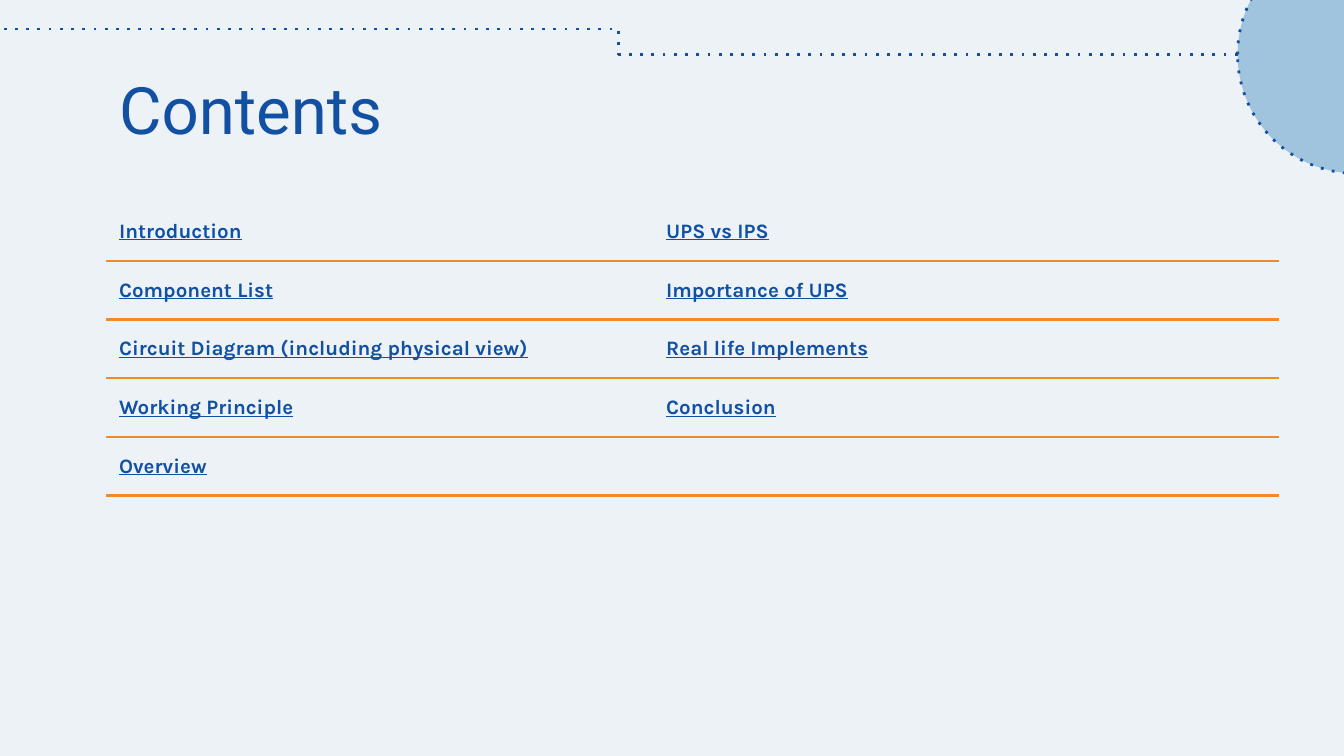
from lxml.etree import SubElement
from pptx import Presentation
from pptx.dml.color import RGBColor
from pptx.enum.shapes import MSO_CONNECTOR as Connector, MSO_SHAPE as Shape
from pptx.enum.text import MSO_ANCHOR as Anchor, PP_ALIGN as Align
from pptx.oxml.ns import qn
from pptx.util import Cm, Pt

TITLE = "Contents"
TOPICS = [
    ("Introduction", "UPS vs IPS"),
    ("Component List", "Importance of UPS"),
    ("Circuit Diagram (including physical view)", "Real life Implements"),
    ("Working Principle", "Conclusion"),
    ("Overview", ""),
    ("", ""),
]
COLUMN_WIDTHS = (10.34, 11.84)
ROW_HEIGHT = 1.11
PALE, SKY, BLUE, ORANGE = "EDF2F7", "A0C4DE", "1150A2", "F28A25"


def color(value):
    return RGBColor.from_string(value)


def write(frame, text, *, font, size, ink=BLUE, bold=False, underline=False):
    para = frame.paragraphs[0]
    para.alignment = Align.LEFT
    span = para.add_run()
    span.text = text
    span.font.name, span.font.size = font, Pt(size)
    span.font.bold, span.font.underline = bold, underline
    span.font.color.rgb = color(ink)


def dot_line(shape):
    """Give a shape or connector the dotted blue line."""
    shape.line.width = Pt(1.5)
    shape.line.color.rgb = color(BLUE)
    outline = shape._element.spPr.find(qn("a:ln"))
    SubElement(outline, qn("a:prstDash"), val="dot")


def set_borders(cell, ruled_sides):
    """Rule the given sides of a cell and clear the others."""
    properties = cell._tc.get_or_add_tcPr()
    for side in "LRTB":
        border = SubElement(properties, qn(f"a:ln{side}"), w=str(Pt(1.5)))
        if side in ruled_sides:
            fill = SubElement(border, qn("a:solidFill"))
            SubElement(fill, qn("a:srgbClr"), val=ORANGE)
        else:
            SubElement(border, qn("a:noFill"))


deck = Presentation()
deck.slide_width, deck.slide_height = Cm(25.4), Cm(14.29)
page = deck.slides.add_slide(deck.slide_layouts[5])
page.background.fill.solid()
page.background.fill.fore_color.rgb = color(PALE)

circle = page.shapes.add_shape(Shape.OVAL, Cm(23.39), Cm(-1.22), Cm(4.5), Cm(4.5))
circle.shadow.inherit = False
circle.fill.solid()
circle.fill.fore_color.rgb = color(SKY)
dot_line(circle)

step = page.shapes.add_connector(
    Connector.ELBOW, Cm(23.39), Cm(1.03), Cm(0), Cm(0.55))
dot_line(step)
SubElement(step._element.spPr, qn("a:effectLst"))

title = page.shapes.title
title.left, title.top, title.width, title.height = Cm(2), Cm(1.25), Cm(21.4), Cm(1.6)
frame = title.text_frame
frame.word_wrap = True
frame.vertical_anchor = Anchor.MIDDLE
frame.margin_left = frame.margin_right = frame.margin_top = frame.margin_bottom = Cm(0.25)
write(frame, TITLE, font="Roboto", size=35)

table = page.shapes.add_table(
    len(TOPICS), len(COLUMN_WIDTHS), Cm(2), Cm(3.82),
    Cm(sum(COLUMN_WIDTHS)), Cm(ROW_HEIGHT * len(TOPICS))).table
table.first_row = table.horz_banding = False
for column, width in zip(table.columns, COLUMN_WIDTHS):
    column.width = Cm(width)
last = len(TOPICS) - 1
for i, topics in enumerate(TOPICS):
    table.rows[i].height = Cm(ROW_HEIGHT)
    sides = ("T" if i > 0 else "") + ("B" if i < last else "")
    for j, topic in enumerate(topics):
        cell = table.cell(i, j)
        set_borders(cell, sides)
        cell.fill.solid()
        cell.fill.fore_color.rgb = color(PALE)
        cell.vertical_anchor = Anchor.MIDDLE
        cell.margin_left = cell.margin_right = Cm(0.25)
        cell.margin_top = cell.margin_bottom = 0
        if topic:
            write(cell.text_frame, topic, font="Karla", size=11,
                  bold=True, underline=True)

deck.save("out.pptx")
